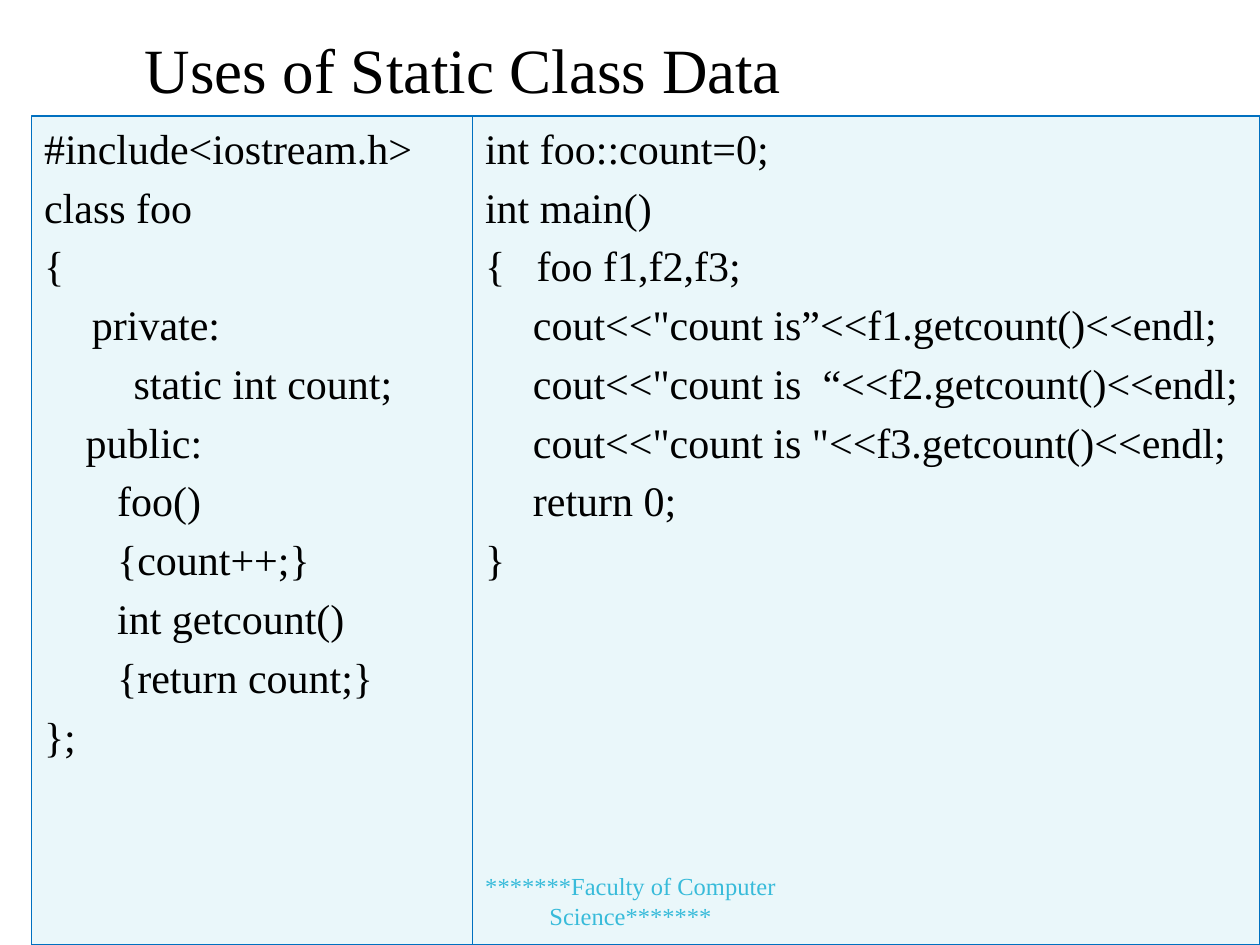
"""Build a slide showing a C++ class with static data beside its main function."""
from lxml.etree import SubElement
from pptx import Presentation
from pptx.dml.color import RGBColor
from pptx.enum.text import MSO_ANCHOR, MSO_AUTO_SIZE, PP_ALIGN
from pptx.oxml.ns import qn
from pptx.util import Inches, Pt

TITLE = "Uses of Static Class Data"
FOOTER = "*******Faculty of Computer Science*******"
CLASS_CODE = [
    (0, "#include<iostream.h>"),
    (0, "class foo"),
    (0, "{"),
    (0.38, "private:"),
    (0.71, "static int count;"),
    (0.33, "public:"),
    (0.58, "foo()"),
    (0.58, "{count++;}"),
    (0.58, "int getcount()"),
    (0.58, "{return count;}"),
    (0, "};"),
]
MAIN_CODE = [
    (0, "int foo::count=0;"),
    (0, "int main()"),
    (0, "{\tfoo f1,f2,f3;"),
    (0.38, "cout<<\"count is”<<f1.getcount()<<endl;"),
    (0.38, "cout<<\"count is  “<<f2.getcount()<<endl;"),
    (0.38, "cout<<\"count is \"<<f3.getcount()<<endl;"),
    (0.38, "return 0;"),
    (0, "}"),
]
PANELS = [(3.5, CLASS_CODE), (6.25, MAIN_CODE)]
LEFT, TOP, HEIGHT = 0.25, 0.92, 6.58
TAB_INDENT = 0.41
FRAME_FORMAT = {"word_wrap": True, "auto_size": MSO_AUTO_SIZE.NONE}


def color(value):
    return RGBColor.from_string(value)


def place(shape, *lengths):
    for name, length in zip(("left", "top", "width", "height"), lengths):
        setattr(shape, name, Inches(length))


def format_frame(frame, anchor):
    for name, value in {**FRAME_FORMAT, "vertical_anchor": anchor}.items():
        setattr(frame, name, value)


def write(para, text, size, shade, align):
    para.alignment = align
    span = para.add_run()
    span.text = text
    for name, value in {"name": "Times New Roman", "size": Pt(size), "bold": False}.items():
        setattr(span.font, name, value)
    span.font.color.rgb = color(shade)


def indent(para, length, hanging):
    properties = para._p.get_or_add_pPr()
    properties.set("marL", str(Inches(length)))
    properties.set("indent", str(-Inches(hanging)))
    SubElement(properties, qn("a:buNone"))


def fill_panel(panel, lines):
    panel.fill.solid()
    panel.fill.fore_color.rgb = color("EAF7FA")
    panel.line.color.rgb = color("0070C0")
    panel.line.width = Pt(0.75)
    frame = panel.text_frame
    format_frame(frame, MSO_ANCHOR.TOP)
    for number, (offset, text) in enumerate(lines):
        para = frame.add_paragraph() if number else frame.paragraphs[0]
        hanging = TAB_INDENT if "\t" in text else 0
        indent(para, offset + hanging, hanging)
        write(para, text, 24, "000000", PP_ALIGN.LEFT)


def add_centred(shape, text, size, shade):
    format_frame(shape.text_frame, MSO_ANCHOR.MIDDLE)
    write(shape.text_frame.paragraphs[0], text, size, shade, PP_ALIGN.CENTER)


def main():
    deck = Presentation()
    deck.slide_width, deck.slide_height = Inches(10), Inches(7.5)
    page = deck.slides.add_slide(deck.slide_layouts[3])
    title, *bodies = page.placeholders
    place(title, LEFT, 0.08, 6.85, 0.92)
    add_centred(title, TITLE, 36, "000000")

    left = LEFT
    for body, (width, lines) in zip(bodies, PANELS):
        place(body, left, TOP, width, HEIGHT)
        fill_panel(body, lines)
        left += width

    footer = page.shapes.add_textbox(Inches(3.42), Inches(6.95), Inches(3.17), Inches(0.4))
    add_centred(footer, FOOTER, 14, "38BBDA")
    deck.save("out.pptx")


if __name__ == "__main__":
    main()
